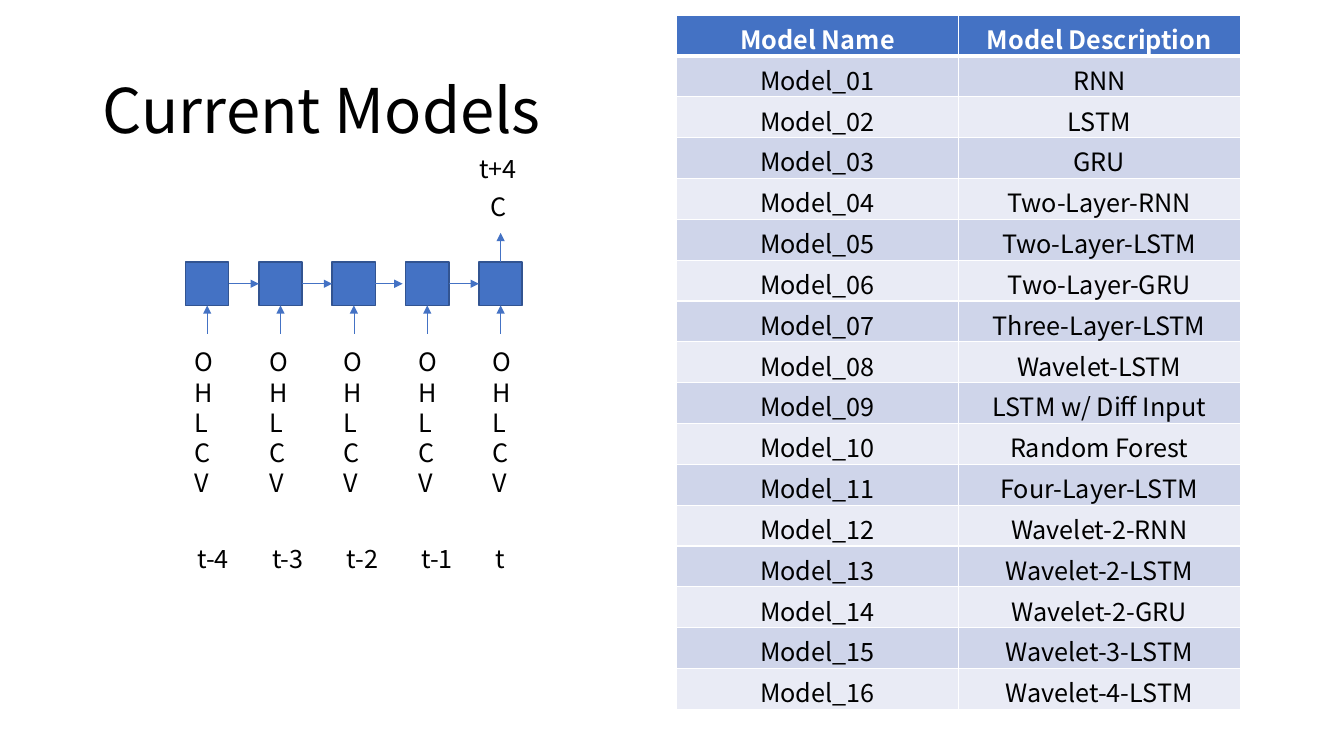
from dataclasses import dataclass

from lxml import etree
from pptx import Presentation
from pptx.dml.color import RGBColor
from pptx.enum.shapes import MSO_CONNECTOR, MSO_SHAPE
from pptx.enum.text import MSO_ANCHOR, MSO_AUTO_SIZE, PP_ALIGN
from pptx.oxml.ns import qn
from pptx.util import Inches, Pt

STRAIGHT = MSO_CONNECTOR.STRAIGHT
RECT = MSO_SHAPE.RECTANGLE
MIDDLE = MSO_ANCHOR.MIDDLE
GROW = MSO_AUTO_SIZE.SHAPE_TO_FIT_TEXT
LEFT, CENTER = PP_ALIGN.LEFT, PP_ALIGN.CENTER


@dataclass(frozen=True)
class Theme:
    font: str = "Noto Sans CJK KR"
    text: str = "000000"
    white: str = "FFFFFF"
    accent: str = "4472C4"
    outline: str = "325491"
    bands: tuple = ("CFD5EA", "E9EBF5")
    title: int = 44
    body: int = 18


THEME = Theme()
TITLE = "Current Models"
STEPS = ["t-4", "t-3", "t-2", "t-1", "t"]
INPUTS = "OHLCV"
HEADERS = ["Model Name", "Model Description"]
MODELS = [
    "RNN", "LSTM", "GRU", "Two-Layer-RNN", "Two-Layer-LSTM", "Two-Layer-GRU",
    "Three-Layer-LSTM", "Wavelet-LSTM", "LSTM w/ Diff Input", "Random Forest",
    "Four-Layer-LSTM", "Wavelet-2-RNN", "Wavelet-2-LSTM", "Wavelet-2-GRU",
    "Wavelet-3-LSTM", "Wavelet-4-LSTM",
]


def rgb(color):
    return RGBColor.from_string(color)


def write(tf, lines, size=THEME.body, color=THEME.text, bold=False,
          align=LEFT, spacing=None):
    for i, line in enumerate(lines):
        p = tf.paragraphs[0] if i == 0 else tf.add_paragraph()
        p.alignment = align
        if spacing:
            p.line_spacing = spacing
        r = p.add_run()
        r.text = line
        r.font.name = THEME.font
        r.font.size = Pt(size)
        r.font.bold = bold
        r.font.color.rgb = rgb(color)


def add_label(s, lines, left, top, width, height=0.4):
    sp = s.shapes.add_textbox(Inches(left), Inches(top), Inches(width), Inches(height))
    tf = sp.text_frame
    tf.word_wrap = False
    tf.auto_size = GROW
    write(tf, lines)


def add_arrow(s, x1, y1, x2, y2):
    line = s.shapes.add_connector(STRAIGHT, Inches(x1), Inches(y1), Inches(x2), Inches(y2))
    line.line.color.rgb = rgb(THEME.accent)
    line.line.width = Pt(0.5)
    etree.SubElement(line.line._get_or_add_ln(), qn("a:tailEnd"), type="triangle")
    etree.SubElement(line._element.spPr, qn("a:effectLst"))


def add_cell_box(s, left, top, side):
    sp = s.shapes.add_shape(RECT, Inches(left), Inches(top), Inches(side), Inches(side))
    sp.shadow.inherit = False
    sp.fill.solid()
    sp.fill.fore_color.rgb = rgb(THEME.accent)
    sp.line.color.rgb = rgb(THEME.outline)
    sp.line.width = Pt(1)


def add_title(s, left, top, width, height):
    sp = s.shapes.title
    sp.left, sp.top = Inches(left), Inches(top)
    sp.width, sp.height = Inches(width), Inches(height)
    sp.text_frame.vertical_anchor = MIDDLE
    write(sp.text_frame, [TITLE], size=THEME.title, spacing=0.9)


def add_network(s, left, top, width, height):
    side = 0.43
    last = len(STEPS) - 1
    pitch = (width - side) / last
    input_pitch = 0.74
    box_top = top + 1.13
    box_bottom = box_top + side
    link_y = box_top + side / 2
    link_shifts = [0, 0, -0.03, 0]
    label_top = top + height - 0.4

    for i, step in enumerate(STEPS):
        x = left + i * pitch
        center = x + side / 2
        input_x = left - 0.01 + i * input_pitch
        add_cell_box(s, x, box_top, side)
        add_arrow(s, center, box_bottom + 0.28, center, box_bottom)
        add_label(s, INPUTS, input_x, top + 1.92, 0.4, 1.62)
        add_label(s, [step], input_x + 0.03, label_top, 0.29 if i == last else 0.52)

    for i, shift in enumerate(link_shifts):
        x = left + i * pitch + shift
        add_arrow(s, x + side, link_y, x + pitch, link_y)

    output_x = left + width - side / 2
    add_arrow(s, output_x, box_top, output_x, box_top - 0.29)
    add_label(s, ["C"], output_x - 0.2, top + 0.38, 0.36)
    add_label(s, ["t+4"], output_x - 0.31, top, 0.61)


def set_borders(cell, **widths):
    tcPr = cell._tc.get_or_add_tcPr()
    for side in "LRTB":
        ln = etree.SubElement(tcPr, qn(f"a:ln{side}"), w=str(Pt(widths.get(side, 1))))
        fill = etree.SubElement(ln, qn("a:solidFill"))
        etree.SubElement(fill, qn("a:srgbClr"), val=THEME.white)


def add_models_table(s, left, top, width, height):
    rows = [HEADERS] + [[f"Model_{i:02}", name] for i, name in enumerate(MODELS, 1)]
    table = s.shapes.add_table(len(rows), len(HEADERS), Inches(left), Inches(top),
                               Inches(width), Inches(height)).table
    table.horz_banding = False
    for row in table.rows:
        row.height = Inches(height / len(rows))
    for i, values in enumerate(rows):
        header = i == 0
        for j, value in enumerate(values):
            cell = table.cell(i, j)
            set_borders(cell, T=3 if i == 1 else 1, B=3 if header else 1)
            cell.fill.solid()
            cell.fill.fore_color.rgb = rgb(THEME.accent if header else THEME.bands[(i - 1) % 2])
            write(cell.text_frame, [value], bold=header, align=CENTER,
                  color=THEME.white if header else THEME.text)


def add_models_slide(prs):
    s = prs.slides.add_slide(prs.slide_layouts[5])
    add_title(s, 0.92, 0.4, 11.5, 1.45)
    add_network(s, 1.84, 1.47, 3.34, 4.27)
    add_models_table(s, 6.71, 0.15, 5.59, 6.89)


prs = Presentation()
prs.slide_width, prs.slide_height = Inches(13.33), Inches(7.5)
add_models_slide(prs)
prs.save("out.pptx")
